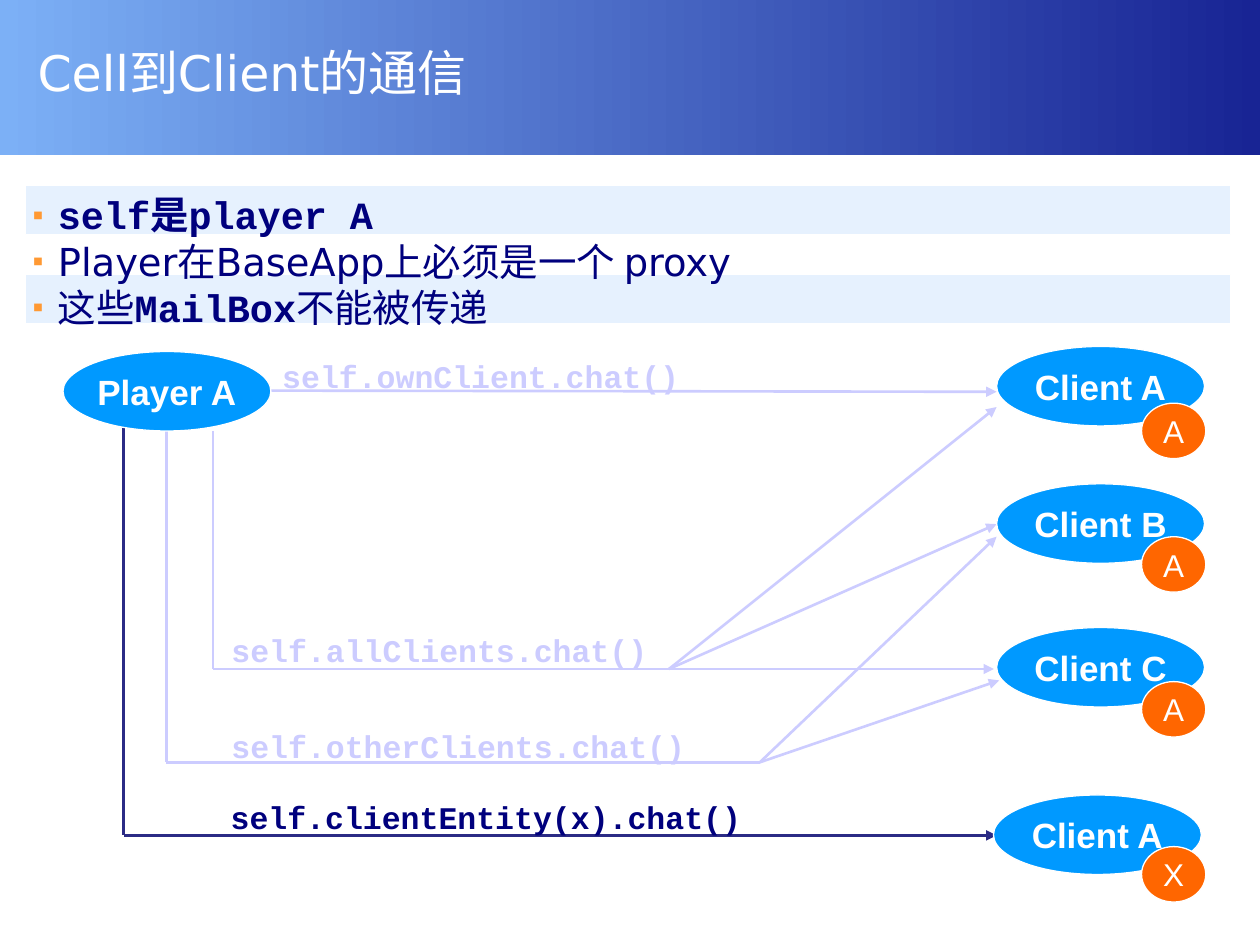
from dataclasses import dataclass
from itertools import pairwise

from lxml.etree import SubElement
from pptx import Presentation
from pptx.dml.color import RGBColor
from pptx.enum.shapes import MSO_CONNECTOR, MSO_SHAPE
from pptx.enum.text import MSO_ANCHOR, PP_ALIGN
from pptx.oxml.ns import qn
from pptx.util import Pt

WHITE, NAVY, ROUTE_NAVY, LAVENDER = "FFFFFF", "00007D", "2B2B85", "CCCCFF"
BLUE, ORANGE, STRIPE, BULLET = "0099FF", "FF6600", "E6F1FE", "FF9933"
SANS, MONO, LABEL = "DejaVu Sans", "Courier New", "Arial"
MONO_ADVANCE = 10.8  # width of one character at 18 points

Point = tuple[float, float]


@dataclass
class Oval:
    text: str
    left: float
    top: float
    width: float = 118.8
    height: float = 45.4
    fill: str = BLUE
    size: float = 20
    bold: bool = True
    space_before: float = 12.5


@dataclass
class Route:
    points: list[Point]
    color: str = LAVENDER
    arrow: bool = True


@dataclass
class Call:
    text: str
    left: float
    top: float
    color: str = LAVENDER


def badge(text: str, top: float) -> Oval:
    return Oval(text, 652.3, top, 36.7, 31.7, ORANGE, 18, False, 11.2)


ALL_FORK, OTHER_FORK = (382.3, 382.3), (434.2, 435.6)
ROUTES = [
    Route([(95, 246.2), (95, 435.6), OTHER_FORK], arrow=False),
    Route([(121.7, 246.2), (121.7, 382.3), ALL_FORK], arrow=False),
    *(Route([ALL_FORK, end]) for end in [(569.5, 232.6), (569.5, 299.5), (568, 382.3)]),
    *(Route([OTHER_FORK, end]) for end in [(569.5, 306.7), (571, 388.8)]),
    Route([(70.6, 241.9), (70.6, 477.4), (569.5, 477.4)], ROUTE_NAVY),
    Route([(154.8, 223.2), (569.5, 223.9)]),
]
CALLS = [
    Call("self.ownClient.chat()", 161.3, 203.8),
    Call("self.otherClients.chat()", 132.2, 415.4),
    Call("self.allClients.chat()", 132.2, 360.7),
    Call("self.clientEntity(x).chat()", 131.8, 455.8, NAVY),
]
OVALS = [
    Oval("Player A", 36, 200.9),
    Oval("Client A", 569.5, 198),
    Oval("Client B", 569.5, 276.5),
    Oval("Client C", 569.5, 358.6),
    Oval("Client A", 567.7, 454.3),
    badge("A", 230.4),
    badge("A", 306.7),
    badge("A", 389.5),
    badge("X", 483.8),
]
# Each bullet is a list of (text, font, bold) runs.
BULLETS = [
    [("self是player A", MONO, True)],
    [("Player在BaseApp上必须是一个 proxy", SANS, False)],
    [("这些", SANS, False), ("MailBox", MONO, True), ("不能被传递", MONO, False)],
]


def rgb(color: str) -> RGBColor:
    return RGBColor.from_string(color)


def set_font(font, name: str, size: float, color: str, bold: bool = False) -> None:
    font.name, font.size, font.bold = name, Pt(size), bold
    font.color.rgb = rgb(color)


def set_margins(frame, left: float, top: float, right: float, bottom: float) -> None:
    frame.margin_left, frame.margin_top = Pt(left), Pt(top)
    frame.margin_right, frame.margin_bottom = Pt(right), Pt(bottom)


def add_preset(slide, kind, left: float, top: float, width: float, height: float, fill: str):
    """Add a filled shape with a thin white outline."""
    shape = slide.shapes.add_shape(kind, Pt(left), Pt(top), Pt(width), Pt(height))
    shape.shadow.inherit = False
    shape.fill.solid()
    shape.fill.fore_color.rgb = rgb(fill)
    shape.line.color.rgb = rgb(WHITE)
    shape.line.width = Pt(0.75)
    return shape


def add_text_frame(slide, left: float, top: float, width: float, height: float):
    frame = slide.shapes.add_textbox(Pt(left), Pt(top), Pt(width), Pt(height)).text_frame
    frame.word_wrap = True
    return frame


def add_header(slide) -> None:
    band = add_preset(slide, MSO_SHAPE.RECTANGLE, 0, 0, 720, 88.6, BLUE)
    band.line.fill.background()
    band.fill.gradient()
    band.fill.gradient_angle = 0
    for stop, color in zip(band.fill.gradient_stops, ("7CB0F6", "182494")):
        stop.color.rgb = rgb(color)


def add_title(slide) -> None:
    frame = add_text_frame(slide, 14.4, 0, 689, 82.8)
    frame.vertical_anchor = MSO_ANCHOR.MIDDLE
    set_margins(frame, 7.2, 3, 7.2, 3.6)
    paragraph = frame.paragraphs[0]
    paragraph.text = "Cell到Client的通信"
    paragraph.line_spacing = 1.01
    set_font(paragraph.font, SANS, 28, WHITE)


def add_route(slide, route: Route) -> None:
    """Draw a chain of straight segments, with any arrowhead on the last."""
    for start, end in pairwise(route.points):
        connector = slide.shapes.add_connector(
            MSO_CONNECTOR.STRAIGHT, *(Pt(value) for value in (*start, *end)))
        connector.line.color.rgb = rgb(route.color)
        connector.line.width = Pt(1.5)
        if route.arrow and end == route.points[-1]:
            SubElement(connector.line._get_or_add_ln(), qn("a:tailEnd"), type="triangle")
        SubElement(connector._element.spPr, qn("a:effectLst"))


def add_call(slide, call: Call) -> None:
    """Add a one-line code label, with a little slack so it never wraps."""
    width = len(call.text) * MONO_ADVANCE + 4
    frame = add_text_frame(slide, call.left, call.top, width, 21.6)
    set_margins(frame, 0, 0, 0, 0)
    paragraph = frame.paragraphs[0]
    paragraph.text = call.text
    set_font(paragraph.font, MONO, 18, call.color, True)


def add_oval(slide, oval: Oval) -> None:
    shape = add_preset(slide, MSO_SHAPE.OVAL, oval.left, oval.top,
                       oval.width, oval.height, oval.fill)
    frame = shape.text_frame
    frame.word_wrap = False
    frame.vertical_anchor = MSO_ANCHOR.MIDDLE
    paragraph = frame.paragraphs[0]
    paragraph.text = oval.text
    paragraph.alignment = PP_ALIGN.CENTER
    paragraph.space_before = Pt(oval.space_before)
    set_font(paragraph.font, LABEL, oval.size, WHITE, oval.bold)


def add_bullets(slide) -> None:
    frame = add_text_frame(slide, 14.4, 108.7, 689, 76.3)
    set_margins(frame, 4.3, 0.7, 0, 0)
    for index, runs in enumerate(BULLETS):
        paragraph = frame.add_paragraph() if index else frame.paragraphs[0]
        properties = paragraph._p.get_or_add_pPr()
        properties.set("marL", str(Pt(14.4)))
        properties.set("indent", str(Pt(-14.4)))
        bullet_color = SubElement(properties, qn("a:buClr"))
        SubElement(bullet_color, qn("a:srgbClr"), val=BULLET)
        SubElement(properties, qn("a:buSzPct"), val="80000")
        SubElement(properties, qn("a:buFont"), typeface=LABEL)
        SubElement(properties, qn("a:buChar"), char="▪")
        for text, font_name, bold in runs:
            run = paragraph.add_run()
            run.text = text
            set_font(run.font, font_name, 22, NAVY, bold)


def main() -> None:
    presentation = Presentation()
    presentation.slide_width, presentation.slide_height = Pt(720), Pt(540)
    slide = presentation.slides.add_slide(presentation.slide_layouts[6])
    add_header(slide)
    for top in (157, 105.8):
        add_preset(slide, MSO_SHAPE.RECTANGLE, 14.4, top, 689, 28.1, STRIPE)
    add_title(slide)
    for add_item, items in ((add_route, ROUTES), (add_call, CALLS), (add_oval, OVALS)):
        for item in items:
            add_item(slide, item)
    add_bullets(slide)
    presentation.save("out.pptx")


if __name__ == "__main__":
    main()
